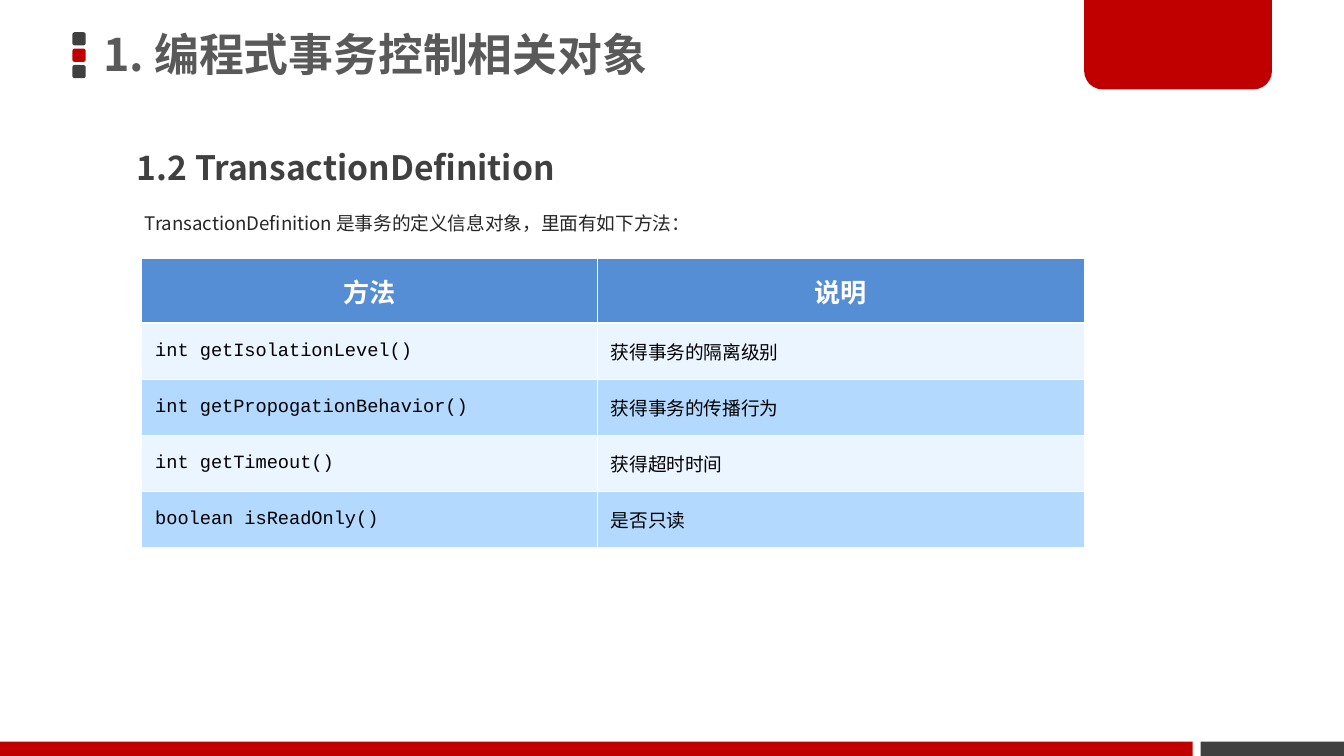
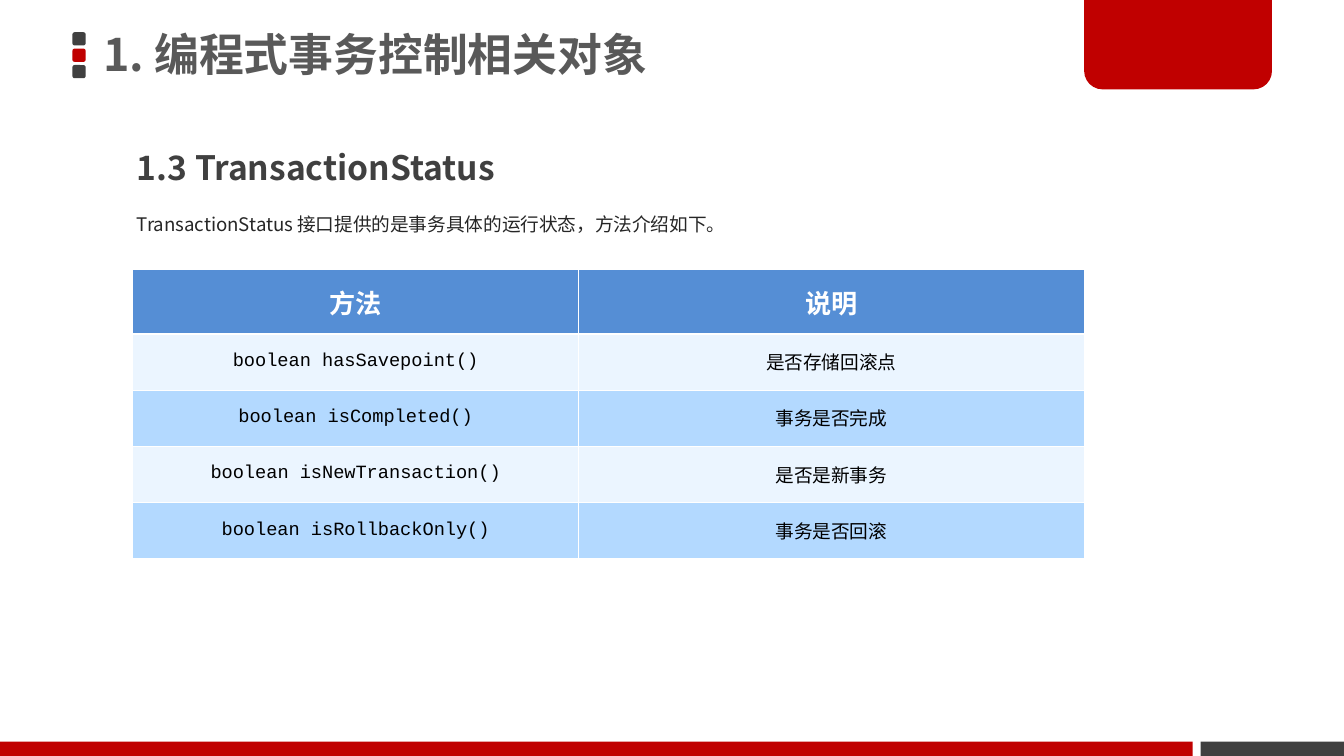
from dataclasses import dataclass

from lxml.etree import SubElement
from pptx import Presentation
from pptx.dml.color import RGBColor
from pptx.enum.shapes import MSO_SHAPE
from pptx.enum.text import MSO_ANCHOR, PP_ALIGN
from pptx.oxml.ns import qn
from pptx.util import Cm, Pt


@dataclass(frozen=True)
class Theme:
    # Colours
    red: str = "C00000"
    dark: str = "404040"
    title: str = "595959"
    body: str = "262626"
    white: str = "FFFFFF"
    black: str = "000000"
    header_fill: str = "558ED5"
    row_fills: tuple = ("EBF5FF", "B3D9FF")
    # Fonts, type sizes and line widths
    sans: str = "Noto Sans CJK SC"
    mono: str = "Courier New"
    title_size: int = 24
    heading_size: int = 18
    header_size: int = 14
    body_size: int = 10
    thin: float = 0.45
    thick: float = 1.47


class SlideBuilder:
    def __init__(self, deck, theme):
        self.deck = deck
        self.theme = theme
        self.page = None

    def new_page(self, title):
        self.page = self.deck.slides.add_slide(self.deck.slide_layouts[6])
        self.frame()
        self.text(title, (1.75, -0.05, 14.96, 2.26), self.theme.title_size,
                  self.theme.title, bold=True, line_spacing=0.9,
                  anchor=MSO_ANCHOR.MIDDLE, margins=(0.2, 0.1))

    def frame(self):
        theme = self.theme
        # Three small squares beside the title
        for index, color in enumerate((theme.dark, theme.red, theme.dark)):
            self.shape(MSO_SHAPE.ROUNDED_RECTANGLE,
                       (1.37, 0.61 + 0.31 * index, 0.25, 0.25), color, (0.167,))
        # Corner tab and footer bands
        self.shape(MSO_SHAPE.ROUND_2_SAME_RECTANGLE,
                   (20.49, -0.05, 3.55, 1.74), theme.red, (0, 0.2))
        self.shape(MSO_SHAPE.RECTANGLE, (22.69, 14.02, 2.71, 0.27), theme.dark)
        self.shape(MSO_SHAPE.RECTANGLE, (0, 14.02, 22.54, 0.27), theme.red)

    def shape(self, kind, place, color, adjustments=()):
        shape = self.page.shapes.add_shape(kind, *map(Cm, place))
        shape.shadow.inherit = False
        shape.fill.solid()
        shape.fill.fore_color.rgb = RGBColor.from_string(color)
        shape.line.fill.background()
        for index, value in enumerate(adjustments):
            shape.adjustments[index] = value

    def span(self, para, text, size, color, bold=False, font=None):
        span = para.add_run()
        span.text = text
        span.font.size = Pt(size)
        span.font.bold = bold
        span.font.color.rgb = RGBColor.from_string(color)
        span.font.name = font or self.theme.sans
        properties = span.font._element
        SubElement(properties, qn("a:ea"), typeface=self.theme.sans)

    def text(self, text, place, size, color, bold=False, line_spacing=1.5,
             anchor=MSO_ANCHOR.TOP, margins=(0.25, 0.13)):
        box = self.page.shapes.add_textbox(*map(Cm, place)).text_frame
        box.word_wrap = True
        box.vertical_anchor = anchor
        box.margin_left = box.margin_right = Cm(margins[0])
        box.margin_top = box.margin_bottom = Cm(margins[1])
        para = box.paragraphs[0]
        para.line_spacing = line_spacing
        self.span(para, text, size, color, bold)

    def heading(self, text):
        self.text(text, (2.34, 2.26, 14.55, 1.4), self.theme.heading_size,
                  self.theme.dark, bold=True)

    def intro(self, text, place):
        self.text(text, place, self.theme.body_size, self.theme.body)

    def borders(self, cell, top, bottom):
        thin = self.theme.thin
        properties = cell._tc.get_or_add_tcPr()
        for side, width in (("L", thin), ("R", thin), ("T", top), ("B", bottom)):
            line = SubElement(properties, qn(f"a:ln{side}"), w=str(int(Pt(width))))
            fill = SubElement(line, qn("a:solidFill"))
            SubElement(fill, qn("a:srgbClr"), val=self.theme.white)

    def table(self, rows, left, top, widths, align, description_font):
        theme = self.theme
        heights = [1.22] + [1.06] * (len(rows) - 1)
        table = self.page.shapes.add_table(
            len(rows), len(widths), Cm(left), Cm(top),
            Cm(sum(widths)), Cm(sum(heights))).table
        table.horz_banding = False
        for column, width in zip(table.columns, widths):
            column.width = Cm(width)
        for row, height in zip(table.rows, heights):
            row.height = Cm(height)

        for row_index, row in enumerate(rows):
            is_header = row_index == 0
            for column_index, text in enumerate(row):
                cell = table.cell(row_index, column_index)
                self.borders(cell,
                             theme.thick if row_index == 1 else theme.thin,
                             theme.thick if is_header else theme.thin)
                color = theme.header_fill if is_header else theme.row_fills[(row_index - 1) % 2]
                cell.fill.solid()
                cell.fill.fore_color.rgb = RGBColor.from_string(color)
                para = cell.text_frame.paragraphs[0]
                if is_header:
                    para.alignment = PP_ALIGN.CENTER
                    para.line_spacing = Pt(24)
                    self.span(para, text, theme.header_size, theme.white, bold=True)
                else:
                    cell.vertical_anchor = MSO_ANCHOR.MIDDLE
                    para.alignment = align
                    font = description_font if column_index else theme.mono
                    self.span(para, text, theme.body_size, theme.black, font=font)


TITLE = "1. 编程式事务控制相关对象"
TABLE_HEADER = ("方法", "说明")


def main():
    deck = Presentation()
    deck.slide_width, deck.slide_height = Cm(25.4), Cm(14.29)
    theme = Theme()
    builder = SlideBuilder(deck, theme)

    # TransactionDefinition
    builder.new_page(TITLE)
    builder.heading("1.2 TransactionDefinition")
    builder.intro("TransactionDefinition 是事务的定义信息对象，里面有如下方法：",
                  (2.49, 3.66, 19.61, 0.89))
    definition_rows = [
        TABLE_HEADER,
        ("int getIsolationLevel()", "获得事务的隔离级别"),
        ("int getPropogationBehavior()", "获得事务的传播行为"),
        ("int getTimeout()", "获得超时时间"),
        ("boolean isReadOnly()", "是否只读"),
    ]
    builder.table(definition_rows, 2.68, 4.89, (8.61, 9.2), PP_ALIGN.LEFT, theme.mono)

    # TransactionStatus
    builder.new_page(TITLE)
    builder.heading("1.3 TransactionStatus")
    builder.intro("TransactionStatus 接口提供的是事务具体的运行状态，方法介绍如下。",
                  (2.34, 3.68, 21.01, 0.89))
    status_rows = [
        TABLE_HEADER,
        ("boolean hasSavepoint()", "是否存储回滚点"),
        ("boolean isCompleted()", "事务是否完成"),
        ("boolean isNewTransaction()", "是否是新事务"),
        ("boolean isRollbackOnly()", "事务是否回滚"),
    ]
    builder.table(status_rows, 2.51, 5.09, (8.42, 9.56), PP_ALIGN.CENTER, theme.sans)

    deck.save("out.pptx")


if __name__ == "__main__":
    main()
